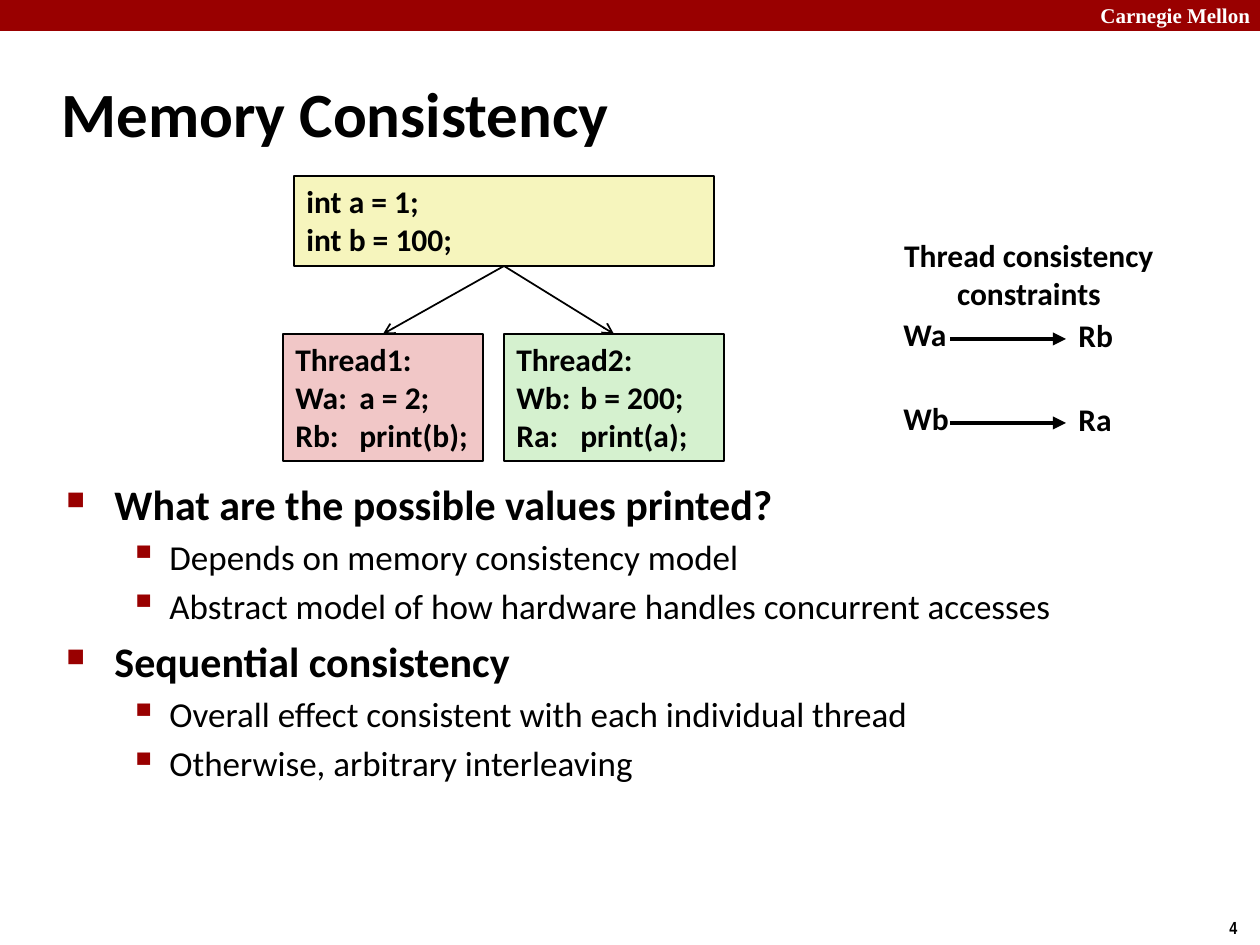
from lxml.etree import SubElement
from pptx import Presentation
from pptx.dml.color import RGBColor
from pptx.enum.shapes import MSO_CONNECTOR, MSO_SHAPE
from pptx.enum.text import MSO_ANCHOR, PP_ALIGN
from pptx.oxml.ns import qn
from pptx.util import Pt

PX = 914400 / 126
COLORS = {"red": "990000", "white": "FFFFFF", "black": "000000",
          "cream": "F6F5BD", "pink": "F1C7C7", "green": "D5F1CF"}
BULLETS = {0: dict(mark="■", scale=60, left=48, hang=48, size=24, gap=5),
           1: dict(mark="▪", scale=110, left=103, hang=40, size=20, gap=4)}


def emu(px):
    return round(px * PX)


def rgb(name):
    return RGBColor.from_string(COLORS[name])


def write(par, text, size=18, bold=True, color="black", font="Calibri", align=None):
    run = par.add_run()
    run.text = text
    face = run.font
    face.size, face.bold, face.name = Pt(size), bold, font
    face.color.rgb = rgb(color)
    par.alignment = align or PP_ALIGN.LEFT


class Deck:
    def __init__(self):
        self.prs = Presentation()
        self.prs.slide_width, self.prs.slide_height = emu(1260), emu(945)
        self.shapes = self.prs.slides.add_slide(self.prs.slide_layouts[6]).shapes

    def lines(self, frame, rows, tab=None, **style):
        for i, row in enumerate(rows):
            par = frame.add_paragraph() if i else frame.paragraphs[0]
            if tab:
                tabs = SubElement(par._p.get_or_add_pPr(), qn("a:tabLst"))
                SubElement(tabs, qn("a:tab"), pos=str(emu(tab)), algn="l")
            write(par, row, **style)

    def label(self, at, *rows, wrap=False, anchor=MSO_ANCHOR.TOP, **style):
        frame = self.shapes.add_textbox(*map(emu, at)).text_frame
        frame.word_wrap, frame.vertical_anchor = wrap, anchor
        self.lines(frame, rows, **style)

    def box(self, at, fill, *rows, edge=True, tab=None):
        shape = self.shapes.add_shape(MSO_SHAPE.RECTANGLE, *map(emu, at))
        shape.shadow.inherit = False
        shape.fill.solid()
        shape.fill.fore_color.rgb = rgb(fill)
        if edge:
            shape.line.color.rgb, shape.line.width = rgb("black"), Pt(0.75)
        else:
            shape.line.fill.background()
        shape.text_frame.vertical_anchor = MSO_ANCHOR.TOP
        self.lines(shape.text_frame, rows, tab)
        return shape

    def arrow(self, ends, width, head):
        line = self.shapes.add_connector(MSO_CONNECTOR.STRAIGHT, *map(emu, ends))
        line.line.color.rgb, line.line.width = rgb("black"), Pt(width)
        SubElement(line.line._get_or_add_ln(), qn("a:tailEnd"), type=head)
        SubElement(line._element.spPr, qn("a:effectLst"))
        return line

    def join(self, upper, lower):
        line = self.arrow((0, 0, 0, 0), 1, "arrow")
        line.begin_connect(upper, 2)
        line.end_connect(lower, 0)

    def bullets(self, at, items):
        frame = self.shapes.add_textbox(*map(emu, at)).text_frame
        frame.word_wrap = True
        for i, (level, text) in enumerate(items):
            look = BULLETS[level]
            par = frame.add_paragraph() if i else frame.paragraphs[0]
            par.level = level
            props = par._p.get_or_add_pPr()
            props.set("marL", str(emu(look["left"])))
            props.set("indent", str(-emu(look["hang"])))
            tint = SubElement(props, qn("a:buClr"))
            SubElement(tint, qn("a:srgbClr"), val=COLORS["red"])
            SubElement(props, qn("a:buSzPct"), val=str(look["scale"] * 1000))
            SubElement(props, qn("a:buChar"), char=look["mark"])
            par.space_before = Pt(look["gap"] if i else 0)
            write(par, text, size=look["size"], bold=level == 0)


def main():
    deck = Deck()

    # Header band, page number and title
    deck.box((0, 0, 1260, 31), "red", edge=False)
    deck.label((1088, -4, 180, 38), "Carnegie Mellon", size=12, color="white",
               font="Times New Roman")
    deck.label((1217, 911, 43, 34), "4", size=10, font="Arial Narrow")
    deck.label((49, 60, 1046, 105), "Memory Consistency", size=36, wrap=True,
               anchor=MSO_ANCHOR.MIDDLE)

    # Bullet list
    deck.bullets((54, 472, 1089, 400), [
        (0, "What are the possible values printed?"),
        (1, "Depends on memory consistency model"),
        (1, "Abstract model of how hardware handles concurrent accesses"),
        (0, "Sequential consistency"),
        (1, "Overall effect consistent with each individual thread"),
        (1, "Otherwise, arbitrary interleaving")])

    # Shared variables and the two threads
    shared = deck.box((294, 176, 420, 90), "cream", "int a = 1;", "int b = 100;")
    threads = [
        deck.box((283, 334, 200, 127), "pink",
                 "Thread1:", "Wa:\ta = 2;", "Rb:\tprint(b);", tab=64),
        deck.box((504, 334, 220, 127), "green",
                 "Thread2:", "Wb:\tb = 200;", "Ra:\tprint(a);", tab=64)]
    for thread in threads:
        deck.join(shared, thread)

    # Order constraints
    deck.label((891, 230, 276, 90), "Thread consistency", "constraints",
               align=PP_ALIGN.CENTER)
    for top, first, then in ((309, "Wa", "Rb"), (393, "Wb", "Ra")):
        deck.label((891, top, 80, 50), first, wrap=True)
        deck.label((1066, top + 1, 80, 50), then, wrap=True)
        deck.arrow((950, top + 30, 1066, top + 30), 2.5, "triangle")

    deck.prs.save("out.pptx")


if __name__ == "__main__":
    main()
